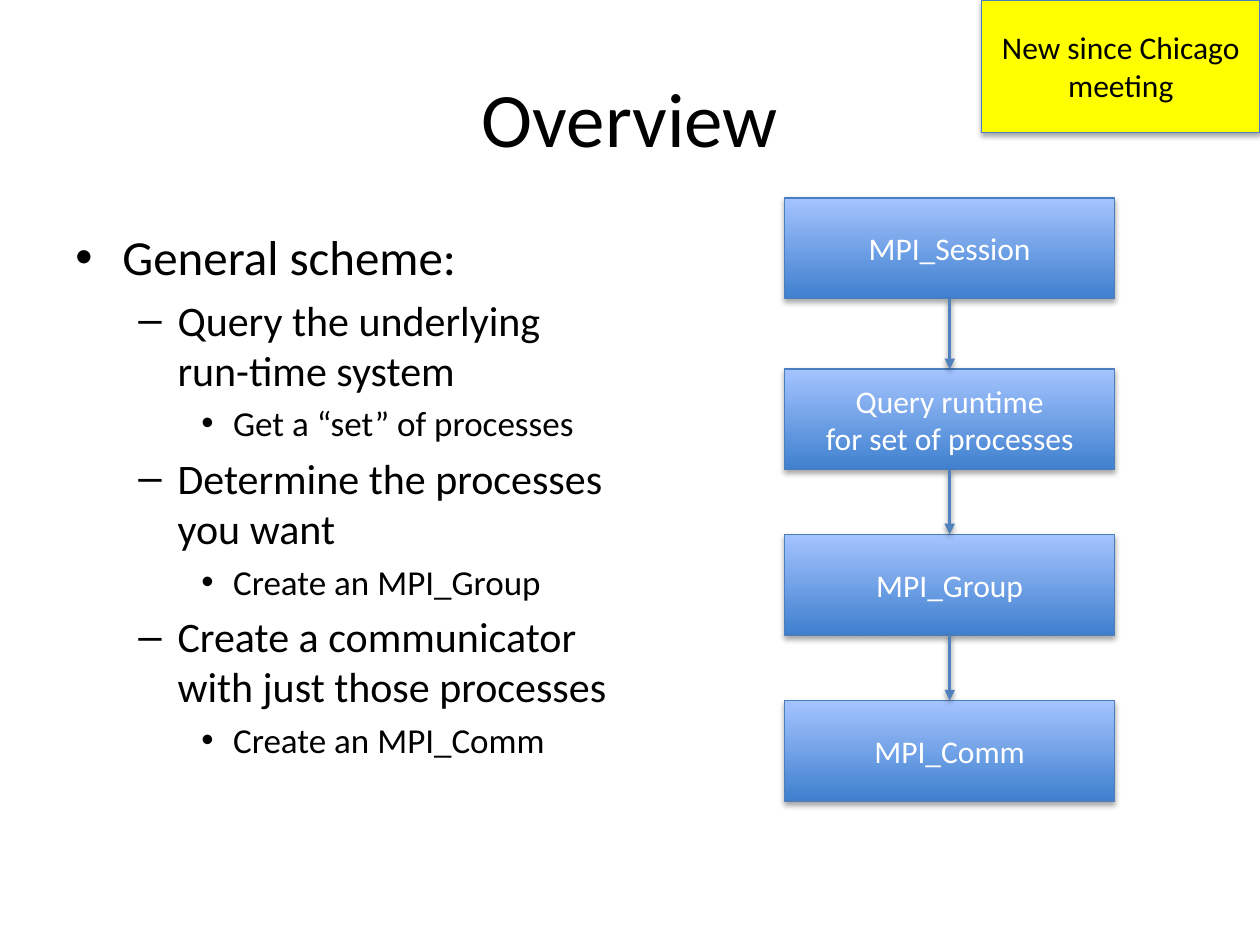
from dataclasses import dataclass

from lxml import etree
from pptx import Presentation
from pptx.dml.color import RGBColor
from pptx.enum.shapes import MSO_CONNECTOR, MSO_SHAPE
from pptx.enum.text import MSO_ANCHOR, PP_ALIGN
from pptx.oxml.ns import qn
from pptx.util import Cm, Pt

RECT = MSO_SHAPE.RECTANGLE
STRAIGHT = MSO_CONNECTOR.STRAIGHT
MIDDLE, TOP = MSO_ANCHOR.MIDDLE, MSO_ANCHOR.TOP
CENTER, LEFT = PP_ALIGN.CENTER, PP_ALIGN.LEFT
BOTTOM_SITE, TOP_SITE = 2, 0


@dataclass(frozen=True)
class Theme:
    """Colours, font and type sizes of the slide."""
    font: str = "Calibri"
    black: str = "000000"
    white: str = "FFFFFF"
    note: str = "FFFF00"
    box_dark: str = "3F80CE"
    box_light: str = "A4C4FF"
    outline: str = "4B7EBC"
    arrow: str = "4F81BD"
    title_size: int = 44
    box_size: int = 18
    level_sizes: tuple = (28, 24, 20)


THEME = Theme()
LEVELS = [("•", 0.95, 0.95), ("–", 2.06, 0.79), ("•", 3.18, 0.64)]
OUTLINE = [
    (0, "General scheme:"),
    (1, "Query the underlying run-time system"),
    (2, "Get a “set” of processes"),
    (1, "Determine the processes you want"),
    (2, "Create an MPI_Group"),
    (1, "Create a communicator with just those processes"),
    (2, "Create an MPI_Comm"),
]
STEPS = [
    (3.99, "MPI_Session"),
    (7.44, "Query runtime\nfor set of processes"),
    (10.77, "MPI_Group"),
    (14.12, "MPI_Comm"),
]


def rgb(value):
    """Return the colour for a hex string."""
    return RGBColor.from_string(value)


def write(p, text, size, color=THEME.black, align=LEFT):
    """Put formatted text into a paragraph."""
    p.text = text
    p.alignment = align
    for r in p.runs:
        r.font.name = THEME.font
        r.font.size = Pt(size)
        r.font.color.rgb = rgb(color)


def add_shadow(s, distance, opacity):
    """Give a shape or connector a soft shadow below it."""
    effects = etree.SubElement(s._element.spPr, qn("a:effectLst"))
    outer = etree.SubElement(effects, qn("a:outerShdw"), blurRad="40000", dist=str(distance),
                             dir="5400000", rotWithShape="0")
    color = etree.SubElement(outer, qn("a:srgbClr"), val=THEME.black)
    etree.SubElement(color, qn("a:alpha"), val=str(opacity * 1000))


def add_text_frame(slide, left, top, width, height, anchor):
    """Add a wrapping text box and return its text frame."""
    tf = slide.shapes.add_textbox(Cm(left), Cm(top), Cm(width), Cm(height)).text_frame
    tf.word_wrap = True
    tf.vertical_anchor = anchor
    return tf


def add_outline(slide):
    """Add the bulleted list with its three levels."""
    tf = add_text_frame(slide, 1.27, 4.45, 11.23, 12.57, TOP)
    for i, (level, text) in enumerate(OUTLINE):
        p = tf.add_paragraph() if i else tf.paragraphs[0]
        bullet, margin, hang = LEVELS[level]
        size = THEME.level_sizes[level]
        p.level = level
        pPr = p._p.get_or_add_pPr()
        pPr.set("marL", str(Cm(margin)))
        pPr.set("indent", str(-Cm(hang)))
        etree.SubElement(pPr, qn("a:buFont"), typeface="Arial")
        etree.SubElement(pPr, qn("a:buChar"), char=bullet)
        if i:
            p.space_before = Pt(size * 0.2)
        write(p, text, size)


def add_box(slide, left, top, width, height, text, color, fill=None):
    """Add a shadowed rectangle, with the blue gradient unless a fill is given."""
    sp = slide.shapes.add_shape(RECT, Cm(left), Cm(top), Cm(width), Cm(height))
    if fill:
        sp.fill.solid()
        sp.fill.fore_color.rgb = rgb(fill)
    else:
        sp.fill.gradient()
        sp.fill.gradient_angle = 90
        for stop, shade in zip(sp.fill.gradient_stops, (THEME.box_dark, THEME.box_light)):
            stop.color.rgb = rgb(shade)
    sp.line.color.rgb = rgb(THEME.outline)
    sp.line.width = Pt(0.75)
    add_shadow(sp, 23000, 35)
    tf = sp.text_frame
    tf.word_wrap = True
    tf.vertical_anchor = MIDDLE
    write(tf.paragraphs[0], text, THEME.box_size, color=color, align=CENTER)
    return sp


def add_arrow(slide, upper, lower):
    """Join two boxes with a downward arrow."""
    c = slide.shapes.add_connector(STRAIGHT, 0, 0, 0, 0)
    c.begin_connect(upper, BOTTOM_SITE)
    c.end_connect(lower, TOP_SITE)
    c.line.color.rgb = rgb(THEME.arrow)
    c.line.width = Pt(2)
    etree.SubElement(c.line._get_or_add_ln(), qn("a:tailEnd"), type="triangle")
    add_shadow(c, 20000, 38)


def main():
    """Build and save the slide."""
    prs = Presentation()
    prs.slide_width, prs.slide_height = Cm(25.4), Cm(19.05)
    slide = prs.slides.add_slide(prs.slide_layouts[6])

    title = add_text_frame(slide, 1.27, 0.76, 22.86, 3.18, MIDDLE)
    write(title.paragraphs[0], "Overview", THEME.title_size, align=CENTER)
    add_outline(slide)

    boxes = [add_box(slide, 15.82, top, 6.65, 2.03, text, THEME.white) for top, text in STEPS]
    for upper, lower in zip(boxes, boxes[1:]):
        add_arrow(slide, upper, lower)
    add_box(slide, 19.79, 0, 5.61, 2.67, "New since Chicago meeting", THEME.black, fill=THEME.note)

    prs.save("out.pptx")


if __name__ == "__main__":
    main()
